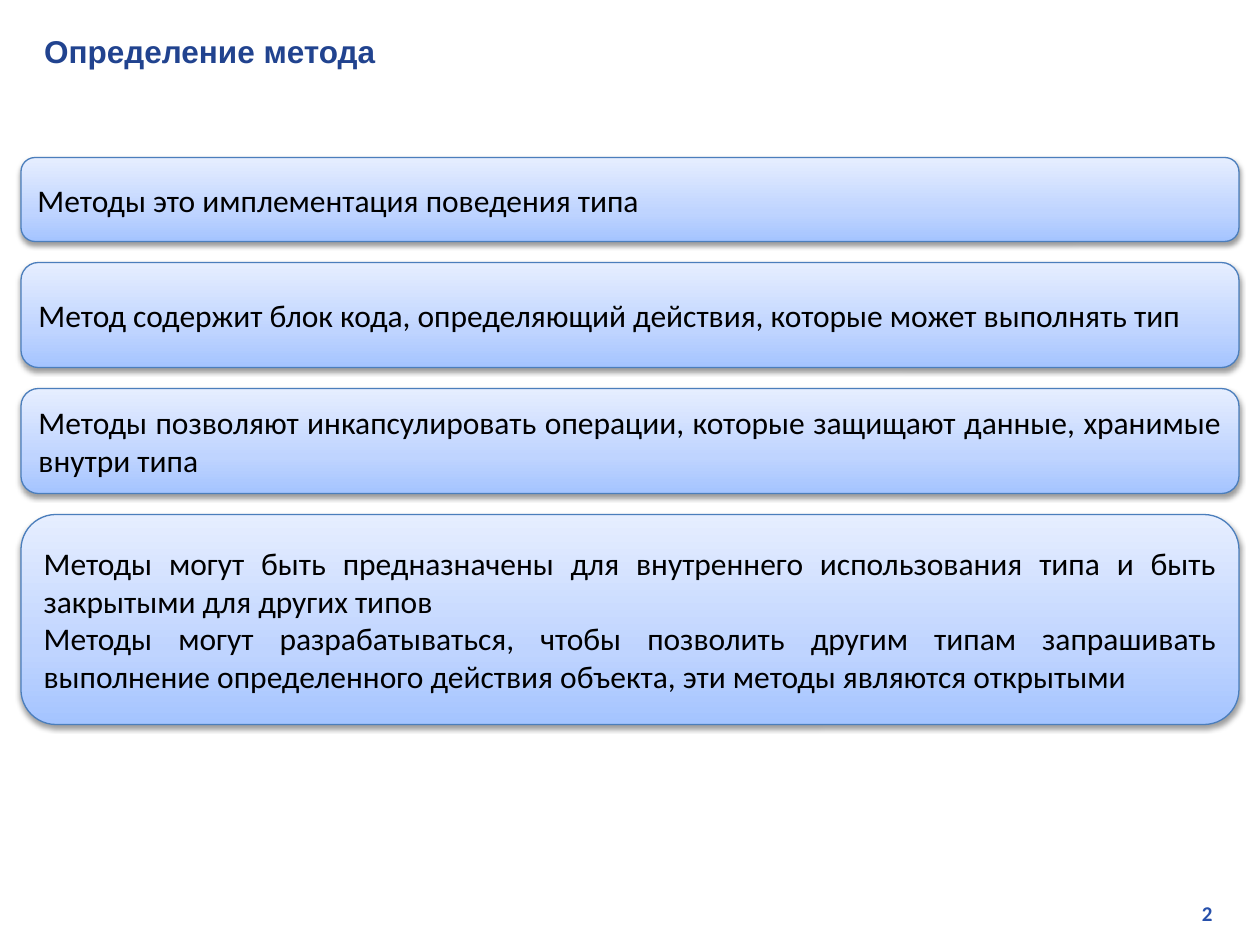
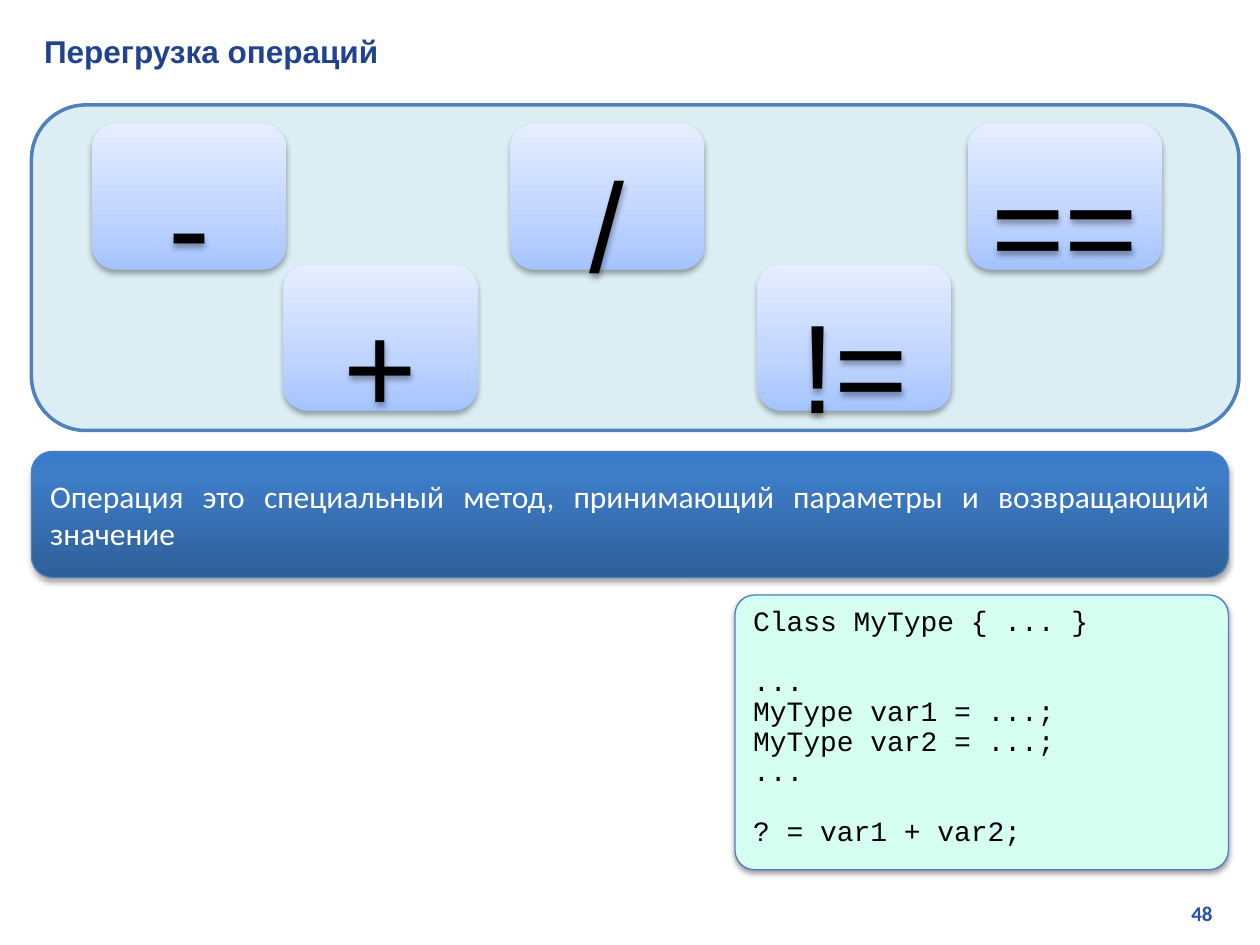
from copy import deepcopy
from dataclasses import dataclass

from lxml import etree
from pptx import Presentation
from pptx import util as u
from pptx.dml import color as c
from pptx.enum import shapes, text
from pptx.oxml import ns


@dataclass(frozen=True)
class Theme:
    title: str = "21438F"
    number: str = "2750AB"
    ink: str = "000000"
    white: str = "FFFFFF"
    outline: str = "4B7EBC"
    frame_line: str = "4F81BD"
    frame: str = "DBEEF4"
    code: str = "D5FFF1"
    pale: tuple = ((0, "A4C4FF"), (0.35, "BFD4FF"), (1, "E6EEFF"))
    deep: tuple = ((0, "2F5F99"), (0.8, "3D7CC7"), (1, "3A7CCB"))
    soft_shadow: tuple = (38, 3.1, 1.6)
    banner_shadow: tuple = (35, 3.1, 1.8)
    tile_shadow: tuple = (32, 3.5, 2.2)
    heading_font: str = "Arial"
    body_font: str = "Calibri"
    code_font: str = "Courier New"
    body_size: int = 18
    code_size: int = 16
    glyph_size: int = 72
    number_size: int = 12


def rgb(value):
    return c.RGBColor.from_string(value)


def write_text(shape, lines, *, font, size, color, bold=False, align="LEFT",
               anchor="MIDDLE", spacing=None, gaps=None, wrap=True):
    frame = shape.text_frame
    frame.word_wrap = wrap
    frame.vertical_anchor = text.MSO_ANCHOR[anchor]
    for index, line in enumerate(lines):
        paragraph = frame.add_paragraph() if index else frame.paragraphs[0]
        paragraph.alignment = text.PP_ALIGN[align]
        if spacing:
            paragraph.line_spacing = spacing
        if gaps and index in gaps:
            paragraph.space_before = u.Pt(gaps[index])
        run = paragraph.add_run()
        run.text = line
        run.font.name = font
        run.font.size = u.Pt(size)
        run.font.bold = bold
        run.font.color.rgb = rgb(color)


class SlideBuilder:
    def __init__(self, presentation, theme):
        self.presentation = presentation
        self.theme = theme
        self.slide = None

    def start(self, title, number):
        theme = self.theme
        self.slide = self.presentation.slides.add_slide(self.presentation.slide_layouts[5])
        heading = self.slide.shapes.title
        heading.left, heading.top = u.Pt(18), u.Pt(14.4)
        heading.width, heading.height = u.Pt(687), u.Pt(28.8)
        write_text(heading, [title], font=theme.heading_font, size=theme.body_size,
                   color=theme.title, bold=True)
        box = self.text_box(547, 511, 153, 21.6)
        write_text(box, [str(number)], font=theme.body_font, size=theme.number_size,
                   color=theme.number, bold=True, align="RIGHT", anchor="TOP")

    def text_box(self, left, top, width, height):
        return self.slide.shapes.add_textbox(u.Pt(left), u.Pt(top), u.Pt(width), u.Pt(height))

    def shadow(self, shape, style):
        shape.shadow.inherit = False
        if style is None:
            return
        opacity, blur, distance = style
        effects = shape.element.spPr.find(ns.qn("a:effectLst"))
        outer = etree.SubElement(effects, ns.qn("a:outerShdw"), blurRad=str(u.Pt(blur)),
                                 dist=str(u.Pt(distance)), dir="5400000", rotWithShape="0")
        shade = etree.SubElement(outer, ns.qn("a:srgbClr"), val=self.theme.ink)
        etree.SubElement(shade, ns.qn("a:alpha"), val=str(opacity * 1000))

    def paint(self, shape, fill):
        if isinstance(fill, str):
            shape.fill.solid()
            shape.fill.fore_color.rgb = rgb(fill)
            return
        shape.fill.gradient()
        shape.fill.gradient_angle = 90
        stops = shape.element.spPr.find(".//" + ns.qn("a:gsLst"))
        while len(stops) < len(fill):
            stops.append(deepcopy(stops[0]))
        for stop, (position, color) in zip(shape.fill.gradient_stops, fill):
            stop.position = position
            stop.color.rgb = rgb(color)

    def rounded(self, left, top, width, height, fill, line=None, line_width=0.75,
                shadow=None, corner=0.1667):
        shape = self.slide.shapes.add_shape(
            shapes.MSO_SHAPE.ROUNDED_RECTANGLE,
            u.Pt(left), u.Pt(top), u.Pt(width), u.Pt(height))
        shape.adjustments[0] = corner
        self.paint(shape, fill)
        if line:
            shape.line.color.rgb = rgb(line)
            shape.line.width = u.Pt(line_width)
        else:
            shape.line.fill.background()
        self.shadow(shape, shadow)
        return shape

    def panel(self, left, top, width, height, lines, fill, color, shadow):
        theme = self.theme
        shape = self.rounded(left, top, width, height, fill, theme.outline, shadow=shadow)
        write_text(shape, lines, font=theme.body_font, size=theme.body_size,
                   color=color, align="JUSTIFY")

    def operator_tile(self, left, top, symbol):
        theme = self.theme
        width, height = 111, 83.5
        self.rounded(left, top, width, height, theme.pale, shadow=theme.tile_shadow)
        glyph = self.text_box(left, top - 46.8, width, 131.8)
        self.shadow(glyph, theme.tile_shadow)
        write_text(glyph, [symbol], font=theme.heading_font, size=theme.glyph_size,
                   color=theme.ink, align="CENTER", anchor="TOP", spacing=1.65, wrap=False)
        glyph.text_frame.auto_size = text.MSO_AUTO_SIZE.SHAPE_TO_FIT_TEXT

    def code_panel(self, left, top, width, height, lines, gaps):
        theme = self.theme
        shape = self.rounded(left, top, width, height, theme.code, theme.outline,
                             shadow=theme.soft_shadow, corner=0.071)
        write_text(shape, lines, font=theme.code_font, size=theme.code_size,
                   color=theme.ink, anchor="TOP", spacing=0.9, gaps=gaps)


def build_method_definition(builder):
    theme = builder.theme
    builder.start("Определение метода", 2)
    statements = [
        (48, ["Методы это имплементация поведения типа"]),
        (60, ["Метод содержит блок кода, определяющий действия, которые может выполнять тип"]),
        (60, ["Методы позволяют инкапсулировать операции, которые защищают данные, "
              "хранимые внутри типа"]),
        (120, ["Методы могут быть предназначены для внутреннего использования типа "
               "и быть закрытыми для других типов",
               "Методы могут разрабатываться, чтобы позволить другим типам запрашивать "
               "выполнение определенного действия объекта, эти методы являются открытыми"]),
    ]
    top, gap = 90, 12
    for height, lines in statements:
        builder.panel(12, top, 696, height, lines, theme.pale, theme.ink, theme.soft_shadow)
        top += height + gap


def build_operator_overloading(builder):
    theme = builder.theme
    builder.start("Перегрузка операций", 48)
    builder.rounded(18, 60, 690, 186, theme.frame, theme.frame_line, line_width=2)
    upper, lower = 70.6, 151.2
    tiles = [(291.6, upper, "/"), (162, lower, "+"), (52.6, upper, "-"),
             (432.7, lower, "!="), (553, upper, "==")]
    for left, top, symbol in tiles:
        builder.operator_tile(left, top, symbol)
    builder.panel(18, 258, 684, 72,
                  ["Операция это специальный метод, принимающий параметры "
                   "и возвращающий значение"],
                  theme.deep, theme.white, theme.banner_shadow)
    code = ["Class MyType { ... }", "...", "MyType var1 = ...;",
            "MyType var2 = ...;", "...", "? = var1 + var2;"]
    builder.code_panel(420, 340, 282, 157, code, gaps={1: 17, 5: 17})


def main():
    presentation = Presentation()
    presentation.slide_width, presentation.slide_height = u.Pt(720), u.Pt(540)
    builder = SlideBuilder(presentation, Theme())
    build_method_definition(builder)
    build_operator_overloading(builder)
    presentation.save("out.pptx")


if __name__ == "__main__":
    main()
